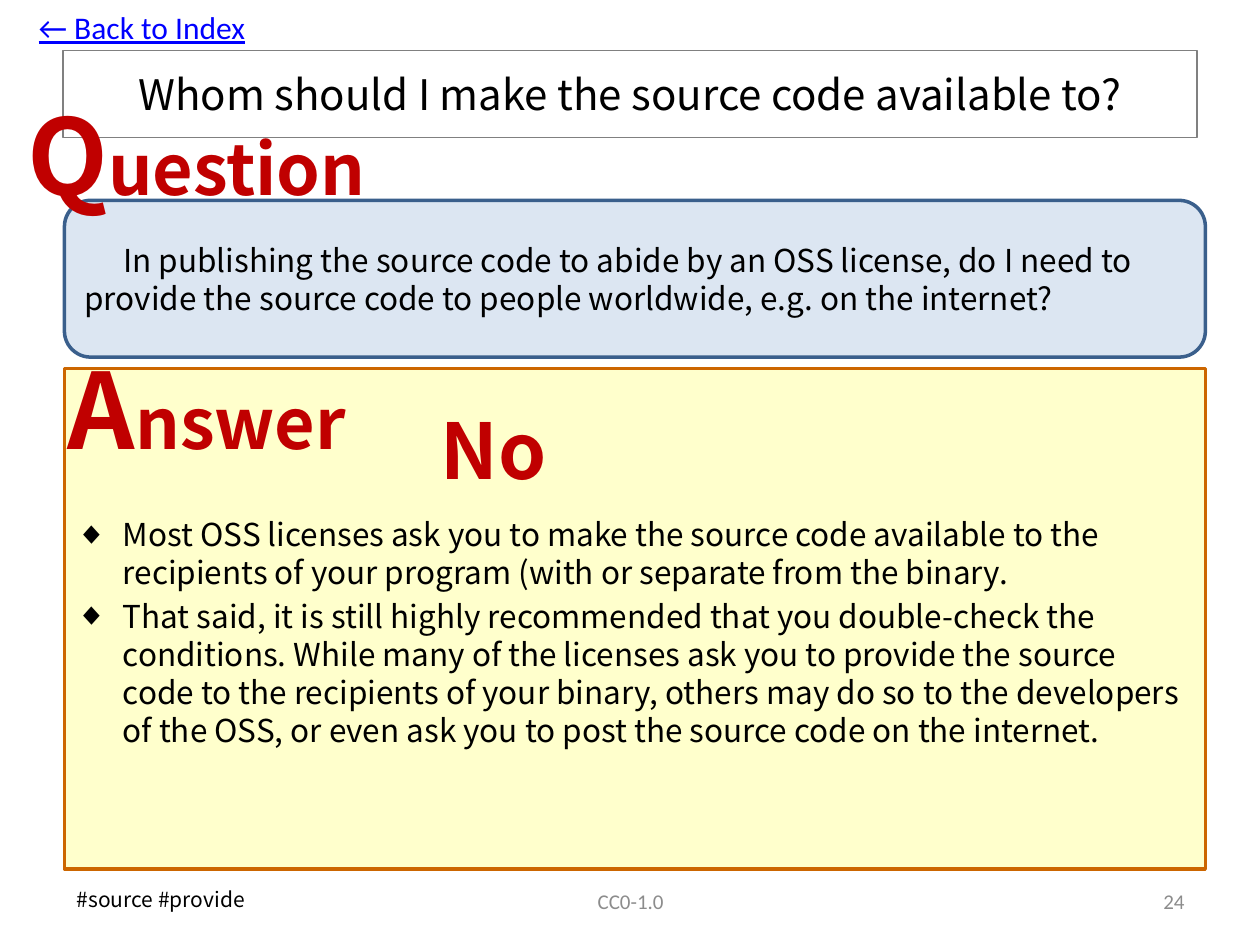
"""Build a question-and-answer slide about making source code available."""
import pptx
import pptx.util
import pptx.dml.color
import pptx.enum.shapes
import pptx.enum.text
import pptx.oxml
import pptx.oxml.ns

Cm = pptx.util.Cm
Pt = pptx.util.Pt
ALIGN = pptx.enum.text.PP_ALIGN
ANCHOR = pptx.enum.text.MSO_ANCHOR
AUTO = pptx.enum.text.MSO_AUTO_SIZE
SHAPE = pptx.enum.shapes.MSO_SHAPE
SANS, CALIBRI = "Noto Sans CJK JP", "Calibri"
COLORS = {
    "text": "000000", "accent": "C00000", "link": "0000FF", "footer": "8C8C8C",
    "title_line": "808080", "question_fill": "DCE6F2", "question_line": "3A5F8C",
    "answer_fill": "FFFFCC", "answer_line": "CC6600",
}


def color(name):
    return pptx.dml.color.RGBColor.from_string(COLORS[name])


def write(paragraph, runs, color_name="text", **formats):
    for text, size in runs:
        run = paragraph.add_run()
        run.text = text
        for key, value in {"name": SANS, "size": Pt(size), **formats}.items():
            setattr(run.font, key, value)
        run.font.color.rgb = color(color_name)


presentation = pptx.Presentation()
presentation.slide_width, presentation.slide_height = Cm(25.4), Cm(19.05)
slide = presentation.slides.add_slide(presentation.slide_layouts[1])
title, body = slide.shapes.title, slide.placeholders[1]

panels = {}
for name, kind, top, height in [
    ("answer", SHAPE.RECTANGLE, 7.43, 10.09),
    ("question", SHAPE.ROUNDED_RECTANGLE, 4.04, 3.16),
]:
    shape = slide.shapes.add_shape(kind, Cm(1.3), Cm(top), Cm(23), Cm(height))
    shape.shadow.inherit = False
    shape.fill.solid()
    shape.fill.fore_color.rgb = color(name + "_fill")
    shape.line.color.rgb = color(name + "_line")
    shape.line.width = Pt(2)
    panels[name] = shape
slide.shapes._spTree.insert(2, panels["answer"]._element)

for shape, box, anchor in [
    (title, (1.27, 1.02, 22.86, 1.75), ANCHOR.MIDDLE),
    (body, (1.27, 10.26, 23, 7.26), ANCHOR.TOP),
]:
    shape.left, shape.top, shape.width, shape.height = map(Cm, box)
    shape.text_frame.auto_size = AUTO.NONE
    shape.text_frame.vertical_anchor = anchor
title.line.color.rgb = color("title_line")
title.line.width = Pt(0.75)
title.text_frame.paragraphs[0].alignment = ALIGN.CENTER
write(title.text_frame.paragraphs[0],
      [("Whom should I make the source code available to?", 24)])

answers = [
    "Most OSS licenses ask you to make the source code available to the recipients "
    "of your program (with or separate from the binary.",
    "That said, it is still highly recommended that you double-check the conditions. "
    "While many of the licenses ask you to provide the source code to the recipients "
    "of your binary, others may do so to the developers of the OSS, or even ask you "
    "to post the source code on the internet.",
]
for index, answer in enumerate(answers):
    frame = body.text_frame
    paragraph = frame.add_paragraph() if index else frame.paragraphs[0]
    properties = paragraph._p.get_or_add_pPr()
    properties.set("marL", str(Cm(0.95)))
    properties.set("indent", str(Cm(-0.95)))
    bullet = pptx.oxml.parse_xml(
        f'<a:buChar {pptx.oxml.ns.nsdecls("a")} char="◆"/>')
    properties.append(bullet)
    paragraph.space_before = Pt(3.6 * index)
    write(paragraph, [(answer, 18)])

question = panels["question"].text_frame
question.word_wrap = True
question.vertical_anchor = ANCHOR.MIDDLE
paragraph = question.paragraphs[0]
paragraph.alignment = ALIGN.LEFT
paragraph._p.get_or_add_pPr().set("indent", str(Cm(0.78)))
write(paragraph, [(
    "In publishing the source code to abide by an OSS license, do I need to "
    "provide the source code to people worldwide, e.g. on the internet?", 18)])

bold = {"color_name": "accent", "bold": True}
footer = {"color_name": "footer", "name": CALIBRI}
link = {"color_name": "link", "name": CALIBRI, "underline": True}
for box, runs, align, wrap, formats in [
    ((8.69, 17.65, 8.05, 1.02), [("CC0-1.0", 12)], ALIGN.CENTER, True, footer),
    ((1.3, 17.75, 4.27, 0.76), [("#source #provide", 12)], ALIGN.LEFT, False, {}),
    ((0.3, 1.7, 7.8, 2.82), [("Q", 60), ("uestion", 40)], ALIGN.LEFT, False, bold),
    ((1.12, 6.83, 6.68, 2.82), [("A", 60), ("nswer", 40)], ALIGN.LEFT, False, bold),
    ((8.64, 8, 5.41, 2.13), [("No", 44)], ALIGN.LEFT, True, bold),
    ((0.53, 0.03, 4.72, 1.02), [("← Back to Index", 18)], ALIGN.LEFT, False, link),
    ((18.21, 17.65, 5.92, 1.02), [("24", 12)], ALIGN.RIGHT, True, footer),
]:
    frame = slide.shapes.add_textbox(*map(Cm, box)).text_frame
    frame.word_wrap = wrap
    is_footer = formats is footer
    frame.auto_size = AUTO.NONE if is_footer else AUTO.SHAPE_TO_FIT_TEXT
    frame.vertical_anchor = ANCHOR.MIDDLE if is_footer else ANCHOR.TOP
    frame.paragraphs[0].alignment = align
    write(frame.paragraphs[0], runs, **formats)

presentation.save("out.pptx")
